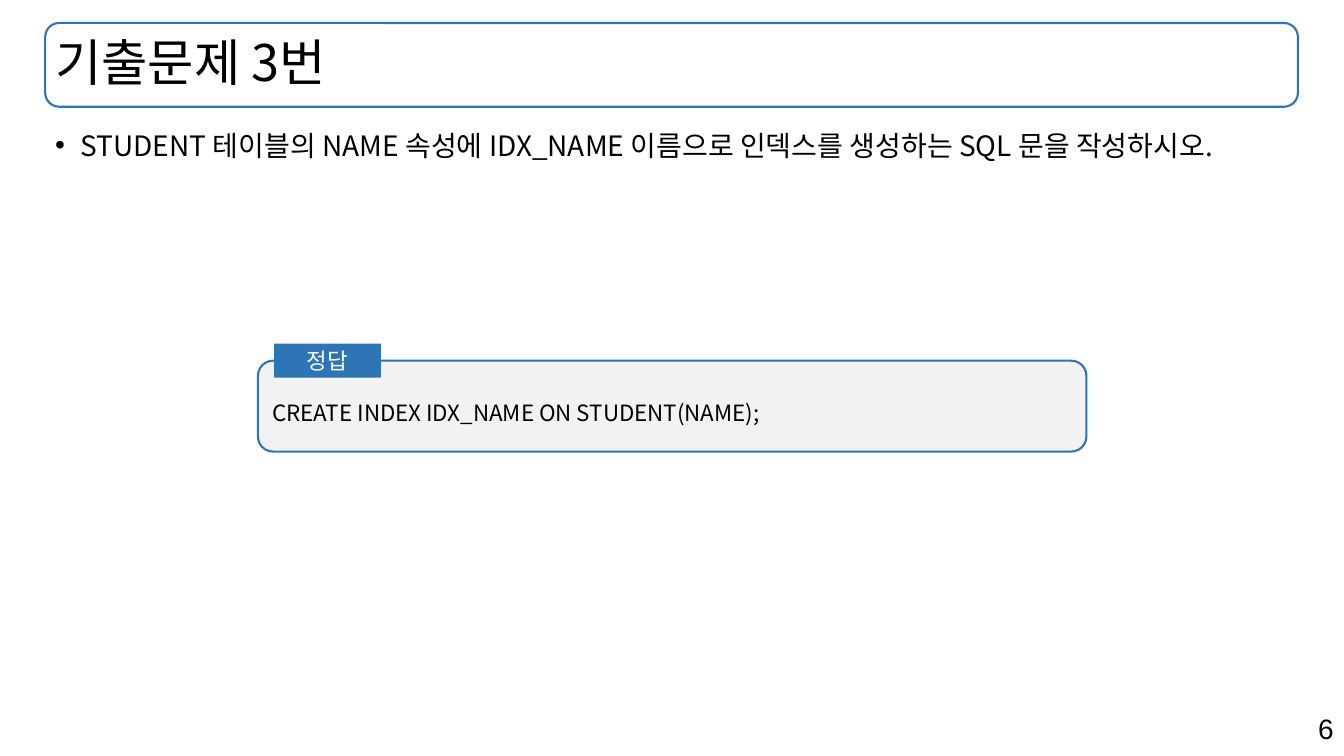
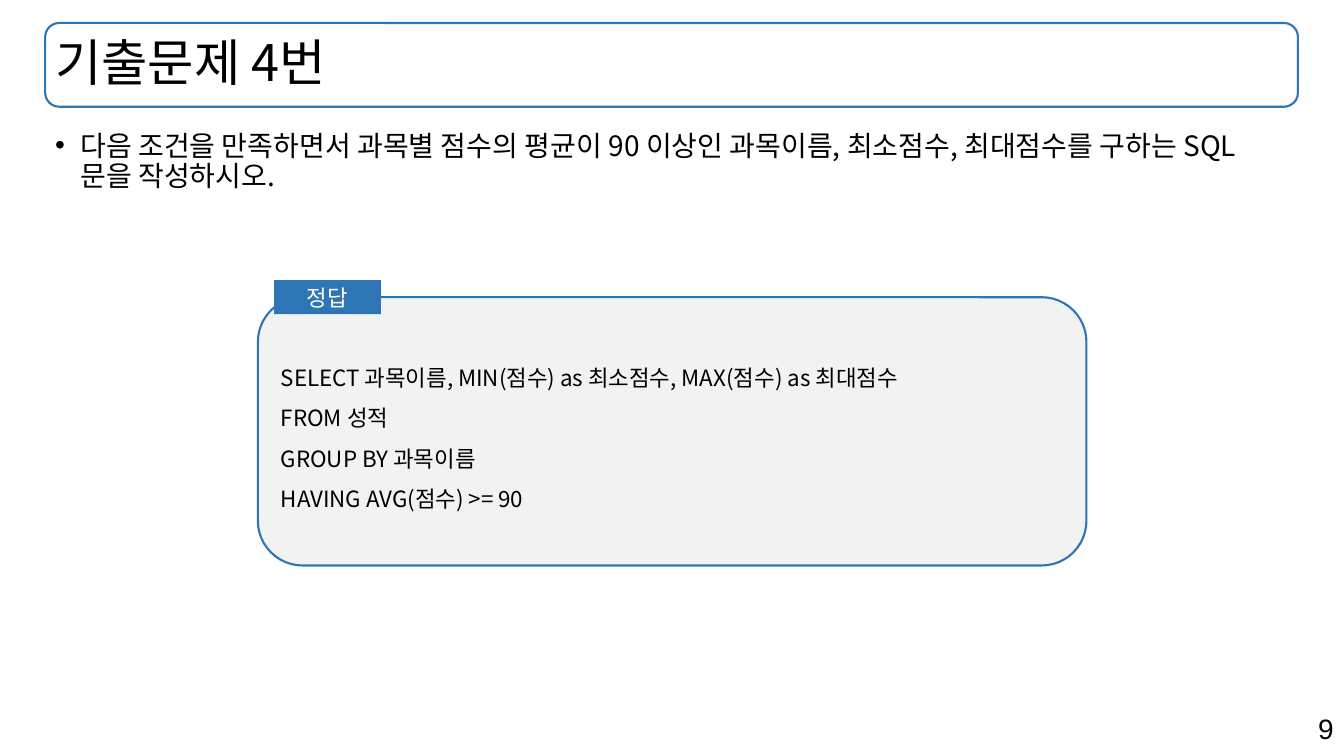
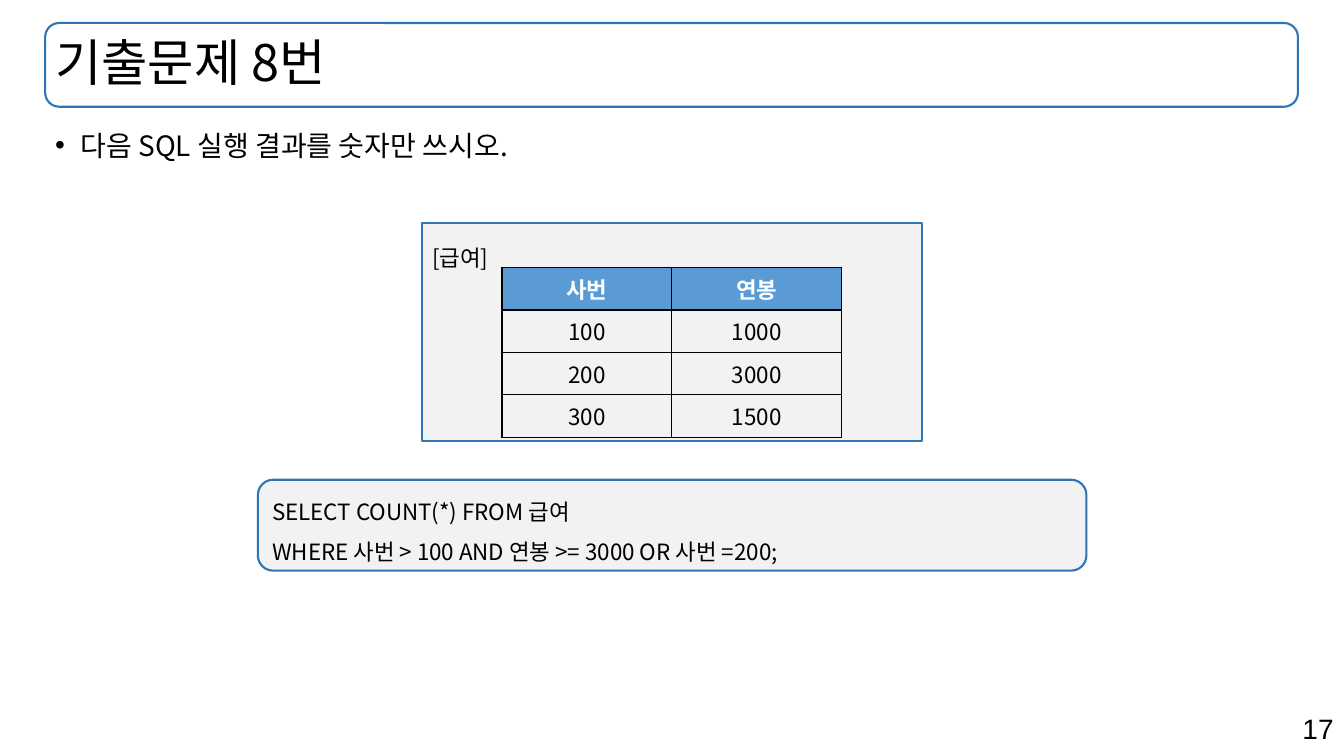
from lxml import etree
from pptx import Presentation
from pptx.dml.color import RGBColor
from pptx.enum.shapes import MSO_SHAPE
from pptx.enum.text import MSO_ANCHOR, PP_ALIGN
from pptx.oxml.ns import qn
from pptx.util import Cm, Pt

ROUNDED, RECTANGLE = MSO_SHAPE.ROUNDED_RECTANGLE, MSO_SHAPE.RECTANGLE
TOP, MIDDLE = MSO_ANCHOR.TOP, MSO_ANCHOR.MIDDLE
LEFT, CENTER, RIGHT = PP_ALIGN.LEFT, PP_ALIGN.CENTER, PP_ALIGN.RIGHT
KOREAN = "Noto Sans CJK KR"
BLUE, HEADER_BLUE, GRAY = "2E75B6", "5B9BD5", "F2F2F2"
BLACK, WHITE = "000000", "FFFFFF"
HEADER = (1.14, 0.58, 31.57, 2.11)
CODE_LEFT, CODE_WIDTH = 6.5, 20.88
TAB_HEIGHT = 0.86


def add_box(page, kind, place, fill=None, line=None):
    box = page.shapes.add_shape(kind, *map(Cm, place))
    box.shadow.inherit = False
    if fill:
        box.fill.solid()
        box.fill.fore_color.rgb = RGBColor.from_string(fill)
    else:
        box.fill.background()
    if line:
        box.line.color.rgb = RGBColor.from_string(line)
        box.line.width = Pt(1.5)
    else:
        box.line.fill.background()
    return box


def write(frame, lines, size, color=BLACK, align=LEFT, spacing=1.0,
          anchor=MIDDLE, font=KOREAN, bold=False, bullet=False):
    frame.word_wrap = True
    frame.vertical_anchor = anchor
    for index, line in enumerate(lines):
        para = frame.add_paragraph() if index else frame.paragraphs[0]
        para.text = line
        para.alignment = align
        para.line_spacing = spacing
        if bullet:
            properties = para._p.get_or_add_pPr()
            properties.set("marL", str(Cm(0.64)))
            properties.set("indent", str(-Cm(0.64)))
            etree.SubElement(properties, qn("a:buFont")).set("typeface", "Arial")
            etree.SubElement(properties, qn("a:buChar")).set("char", "•")
        para.font.size = Pt(size)
        para.font.bold = bold
        para.font.color.rgb = RGBColor.from_string(color)
        para.font.name = font
        etree.SubElement(para.font._element, qn("a:ea")).set("typeface", font)


slides = [
    {
        "number": 6,
        "title": "기출문제 3번",
        "question": "STUDENT 테이블의 NAME 속성에 IDX_NAME 이름으로 인덱스를 생성하는 SQL 문을 작성하시오.",
        "code": ["CREATE INDEX IDX_NAME ON STUDENT(NAME);"],
        "top": 9.09, "height": 2.29, "answer": True,
    },
    {
        "number": 9,
        "title": "기출문제 4번",
        "question": "다음 조건을 만족하면서 과목별 점수의 평균이 90 이상인 과목이름, 최소점수, 최대점수를 구하는 SQL 문을 작성하시오.",
        "code": [
            "SELECT 과목이름, MIN(점수) as 최소점수, MAX(점수) as 최대점수",
            "FROM 성적",
            "GROUP BY 과목이름",
            "HAVING AVG(점수) >= 90",
        ],
        "top": 7.49, "height": 6.76, "answer": True,
    },
    {
        "number": 17,
        "title": "기출문제 8번",
        "question": "다음 SQL 실행 결과를 숫자만 쓰시오.",
        "code": [
            "SELECT COUNT(*) FROM 급여",
            "WHERE 사번 > 100 AND 연봉 >= 3000 OR 사번 =200;",
        ],
        "top": 12.09, "height": 2.29, "answer": False,
    },
]

deck = Presentation()
deck.slide_width, deck.slide_height = Cm(33.87), Cm(19.05)

for content in slides:
    page = deck.slides.add_slide(deck.slide_layouts[6])
    number = page.shapes.add_textbox(Cm(23.95), Cm(17.81), Cm(9.91), Cm(1.12))
    write(number.text_frame, [str(content["number"])], 20, align=RIGHT, anchor=TOP, font="Arial")
    add_box(page, ROUNDED, HEADER, line=BLUE)
    title = page.shapes.add_textbox(*map(Cm, HEADER))
    write(title.text_frame, [content["title"]], 36, spacing=0.9)
    question = page.shapes.add_textbox(Cm(1.14), Cm(3.2), Cm(31.57), Cm(14.05))
    write(question.text_frame, [content["question"]], 20, spacing=0.9, anchor=TOP, bullet=True)

    top = content["top"]
    code = add_box(page, ROUNDED, (CODE_LEFT, top, CODE_WIDTH, content["height"]), GRAY, BLUE)
    write(code.text_frame, content["code"], 16, spacing=1.5)
    if content["answer"]:
        tab = add_box(page, RECTANGLE, (6.91, top - TAB_HEIGHT / 2, 2.69, TAB_HEIGHT), BLUE)
        write(tab.text_frame, ["정답"], 16, WHITE, CENTER)

panel = add_box(page, RECTANGLE, (10.64, 5.61, 12.6, 5.51), GRAY, BLUE)
panel.text_frame.margin_top = Cm(0.2)
write(panel.text_frame, ["[급여]"], 16, spacing=1.5, anchor=TOP)

salaries = [("사번", "연봉"), ("100", "1000"), ("200", "3000"), ("300", "1500")]
table = page.shapes.add_table(4, 2, Cm(12.65), Cm(6.74), Cm(8.56), Cm(4.28)).table
for row_index, values in enumerate(salaries):
    table.rows[row_index].height = Cm(1.07)
    is_header = row_index == 0
    for column_index, value in enumerate(values):
        cell = table.cell(row_index, column_index)
        write(cell.text_frame, [value], 16, WHITE if is_header else BLACK, CENTER, bold=is_header)
        cell_properties = cell._tc.get_or_add_tcPr()
        for side in ("lnL", "lnR", "lnT", "lnB"):
            border = etree.SubElement(cell_properties, qn("a:" + side), w=str(Pt(1)))
            border_fill = etree.SubElement(border, qn("a:solidFill"))
            etree.SubElement(border_fill, qn("a:srgbClr"), val=BLACK)
        cell.fill.solid()
        cell.fill.fore_color.rgb = RGBColor.from_string(HEADER_BLUE if is_header else GRAY)

deck.save("out.pptx")
